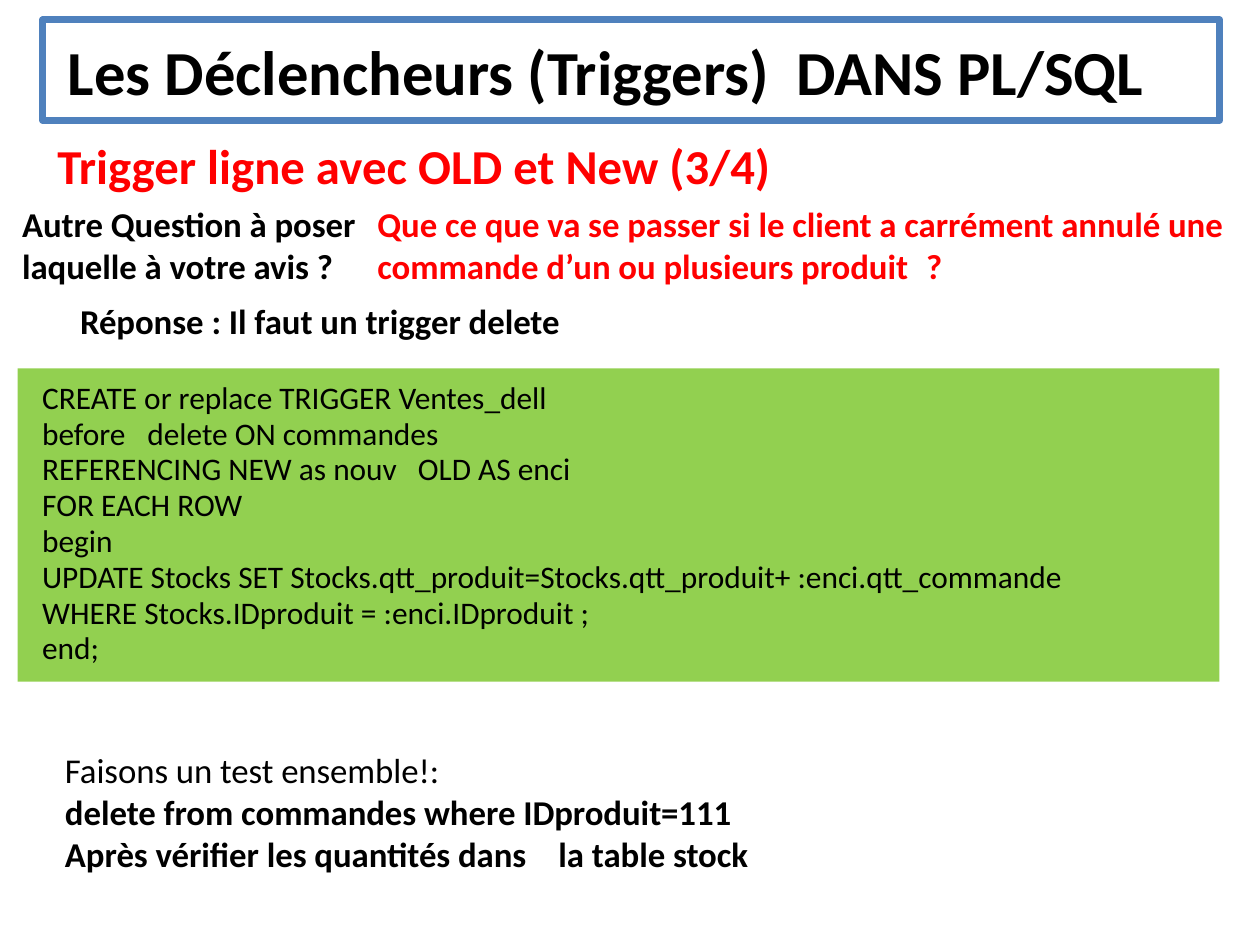
from lxml import etree
from pptx import Presentation
from pptx.dml.color import RGBColor
from pptx.enum.shapes import MSO_SHAPE
from pptx.enum.text import MSO_ANCHOR, MSO_AUTO_SIZE, PP_ALIGN
from pptx.oxml.ns import qn
from pptx.util import Inches, Pt

RECT = MSO_SHAPE.RECTANGLE
LEFT, TOP, NO_FIT = PP_ALIGN.LEFT, MSO_ANCHOR.TOP, MSO_AUTO_SIZE.NONE
BLACK = RGBColor(0, 0, 0)
WHITE = RGBColor(255, 255, 255)
RED = RGBColor(255, 0, 0)
GREEN = RGBColor(0x92, 0xD0, 0x50)
BLUE = RGBColor(0x4F, 0x81, 0xBD)

WIDTH, HEIGHT = Inches(5.03), Inches(3.78)

# Each line: text, bold, tab stop in inches (or None)
TITLE = [("Les Déclencheurs (Triggers)\tDANS PL/SQL", True, 2.91)]
TOPIC = [("Trigger ligne avec OLD et New (3/4)", True, None)]
ASK = [("Autre Question à poser laquelle à votre avis ?", True, None)]
CASE = [("Que ce que va se passer si le client a carrément annulé une "
         "commande d’un ou plusieurs produit\t?", True, 2.19)]
REPLY = [("Réponse : Il faut un trigger delete", True, None)]
CODE = [
    ("CREATE or replace TRIGGER Ventes_dell", False, None),
    ("before\tdelete ON commandes", False, 0.42),
    ("REFERENCING NEW as nouv\tOLD AS enci", False, 1.5),
    ("FOR EACH ROW", False, None),
    ("begin", False, None),
    ("UPDATE Stocks SET Stocks.qtt_produit=Stocks.qtt_produit+ "
     ":enci.qtt_commande", False, None),
    ("WHERE Stocks.IDproduit = :enci.IDproduit ;", False, None),
    ("end;", False, None),
]
TEST = [
    ("Faisons un test ensemble!:", False, None),
    ("delete from commandes where IDproduit=111", True, None),
    ("Après vérifier les quantités dans\tla table stock", True, 1.97),
]

# Boxes as percent of the slide: left, top, width, height
TITLE_BOX = (3.4, 2.1, 93.4, 10.6)
CODE_BOX = (1.4, 38.9, 95.4, 33.1)
NOTES = [
    (TOPIC, (2.6, 13, 87.1, 9), 14, RED),
    (ASK, (-0.2, 20.1, 32.8, 11.6), 10, BLACK),
    (CASE, (28, 20.1, 72, 11.6), 10, RED),
    (REPLY, (4.4, 30.4, 45.5, 7.1), 10, BLACK),
    (TEST, (3.2, 77.8, 59.4, 16.1), 10, BLACK),
]


def place(box):
    return [int(part * side / 100)
            for part, side in zip(box, (WIDTH, HEIGHT, WIDTH, HEIGHT))]


def set_all(item, values):
    for name, value in values.items():
        setattr(item, name, value)


def add_stop(para, inch):
    stops = etree.SubElement(para._p.get_or_add_pPr(), qn("a:tabLst"))
    etree.SubElement(stops, qn("a:tab"), pos=str(Inches(inch)), algn="l")


def write(shape, lines, size, color, gap=1.0):
    frame = shape.text_frame
    set_all(frame, {
        "word_wrap": True, "auto_size": NO_FIT, "vertical_anchor": TOP,
        "margin_left": Inches(0.1), "margin_right": Inches(0.1),
        "margin_top": Inches(0.05), "margin_bottom": Inches(0.05)})
    for row, (text, bold, stop) in enumerate(lines):
        para = frame.add_paragraph() if row else frame.paragraphs[0]
        set_all(para, {"alignment": LEFT, "line_spacing": gap})
        if stop:
            add_stop(para, stop)
        run = para.add_run()
        run.text = text
        set_all(run.font, {"name": "Calibri", "size": Pt(size), "bold": bold})
        run.font.color.rgb = color


def paint(shape, color):
    shape.fill.solid()
    shape.fill.fore_color.rgb = color


def main():
    deck = Presentation()
    set_all(deck, {"slide_width": WIDTH, "slide_height": HEIGHT})
    slide = deck.slides.add_slide(deck.slide_layouts[5])
    shapes = slide.shapes

    title = shapes.title
    set_all(title, dict(zip(("left", "top", "width", "height"),
                            place(TITLE_BOX))))
    paint(title, WHITE)
    title.line.color.rgb = BLUE
    title.line.width = Pt(2)
    write(title, TITLE, 18, BLACK)

    code = shapes.add_shape(RECT, *place(CODE_BOX))
    code.shadow.inherit = False
    paint(code, GREEN)
    code.line.fill.background()
    write(code, CODE, 9, BLACK, 0.95)

    for lines, box, size, color in NOTES:
        write(shapes.add_textbox(*place(box)), lines, size, color)

    deck.save("out.pptx")


if __name__ == "__main__":
    main()
